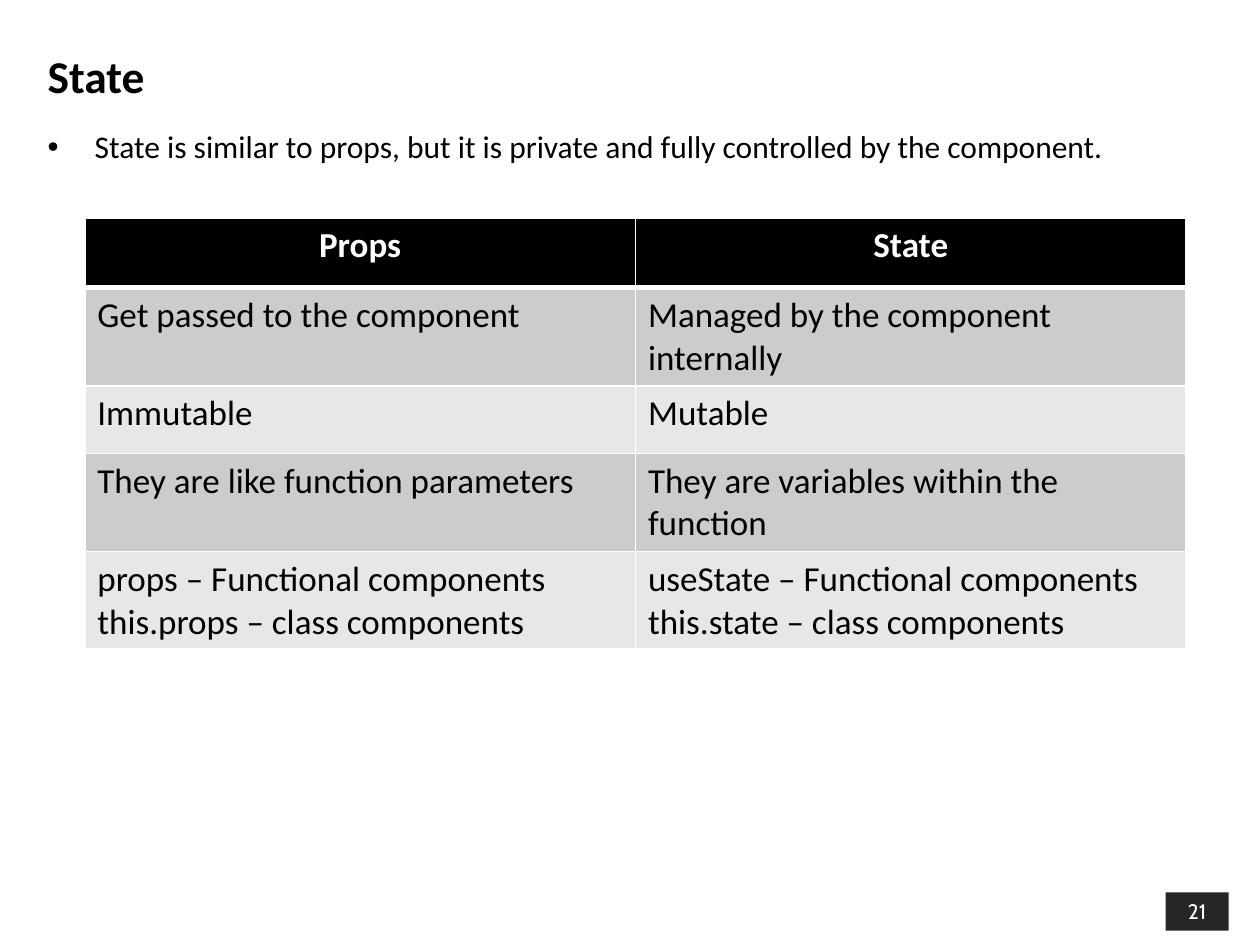
import pptx
import pptx.util
import pptx.dml.color
import pptx.enum.shapes
import pptx.enum.text
import pptx.oxml
import pptx.oxml.ns
from lxml import etree

Cm = pptx.util.Cm
Pt = pptx.util.Pt
RGBColor = pptx.dml.color.RGBColor
ALIGN = pptx.enum.text.PP_ALIGN
ANCHOR = pptx.enum.text.MSO_ANCHOR

BLACK = RGBColor(0x00, 0x00, 0x00)
WHITE = RGBColor(0xFF, 0xFF, 0xFF)
CHARCOAL = RGBColor(0x26, 0x26, 0x26)
DARK_BAND = RGBColor(0xCC, 0xCC, 0xCC)
LIGHT_BAND = RGBColor(0xE7, 0xE7, 0xE7)


def write_text(frame, text, size=20, color=BLACK, bold=False, font="Calibri",
               align=ALIGN.LEFT, anchor=ANCHOR.TOP):
    frame.word_wrap = True
    frame.vertical_anchor = anchor
    for index, line in enumerate(text.split("\n")):
        paragraph = frame.paragraphs[0] if index == 0 else frame.add_paragraph()
        paragraph.alignment = align
        run = paragraph.add_run()
        run.text = line
        run.font.name = font
        run.font.size = Pt(size)
        run.font.bold = bold
        run.font.color.rgb = color


def set_border(cell, side, width):
    line = etree.SubElement(cell._tc.get_or_add_tcPr(), pptx.oxml.ns.qn("a:" + side), w=str(Pt(width)))
    fill = etree.SubElement(line, pptx.oxml.ns.qn("a:solidFill"))
    etree.SubElement(fill, pptx.oxml.ns.qn("a:srgbClr"), val=str(WHITE))


presentation = pptx.Presentation()
presentation.slide_width = Cm(25.4)
presentation.slide_height = Cm(19.05)
slide = presentation.slides.add_slide(presentation.slide_layouts[6])

page_number = slide.shapes.add_shape(
    pptx.enum.shapes.MSO_SHAPE.RECTANGLE, Cm(23.5), Cm(17.99), Cm(1.27), Cm(0.77))
page_number.shadow.inherit = False
page_number.fill.solid()
page_number.fill.fore_color.rgb = CHARCOAL
page_number.line.fill.background()
write_text(page_number.text_frame, "21", size=12, color=WHITE, font="Cabin",
           align=ALIGN.CENTER, anchor=ANCHOR.MIDDLE)

title = slide.shapes.add_textbox(Cm(0.71), Cm(0.53), Cm(20.17), Cm(1.96))
write_text(title.text_frame, "State", size=26, bold=True, anchor=ANCHOR.MIDDLE)

body = slide.shapes.add_textbox(Cm(0.71), Cm(2.44), Cm(23.8), Cm(1.5))
write_text(body.text_frame,
           "State is similar to props, but it is private and fully controlled by the component.",
           size=18)
bullet_format = body.text_frame.paragraphs[0]._p.get_or_add_pPr()
bullet_format.set("marL", str(Cm(0.95)))
bullet_format.set("indent", str(Cm(-0.95)))
etree.SubElement(bullet_format, pptx.oxml.ns.qn("a:buFont"), typeface="Arial")
etree.SubElement(bullet_format, pptx.oxml.ns.qn("a:buChar"), char="•")

comparison = [
    ("Props", "State"),
    ("Get passed to the component", "Managed by the component internally"),
    ("Immutable", "Mutable"),
    ("They are like function parameters", "They are variables within the function"),
    ("props – Functional components\nthis.props – class components",
     "useState – Functional components\nthis.state – class components"),
]
row_heights = [1.4, 1.98, 1.36, 1.98, 1.96]

table = slide.shapes.add_table(
    len(comparison), 2, Cm(1.71), Cm(4.4), Cm(22.2), Cm(sum(row_heights))).table
for column in table.columns:
    column.width = Cm(11.1)
for row_index, texts in enumerate(comparison):
    table.rows[row_index].height = Cm(row_heights[row_index])
    header = row_index == 0
    band = BLACK if header else DARK_BAND if row_index % 2 else LIGHT_BAND
    for column_index, text in enumerate(texts):
        cell = table.cell(row_index, column_index)
        write_text(cell.text_frame, text, color=WHITE if header else BLACK, bold=header,
                   align=ALIGN.CENTER if header else ALIGN.LEFT)
        for side in ("lnL", "lnR", "lnT", "lnB"):
            thick = (side == "lnB" and header) or (side == "lnT" and row_index == 1)
            set_border(cell, side, 3 if thick else 1)
        cell.fill.solid()
        cell.fill.fore_color.rgb = band

presentation.save("out.pptx")
